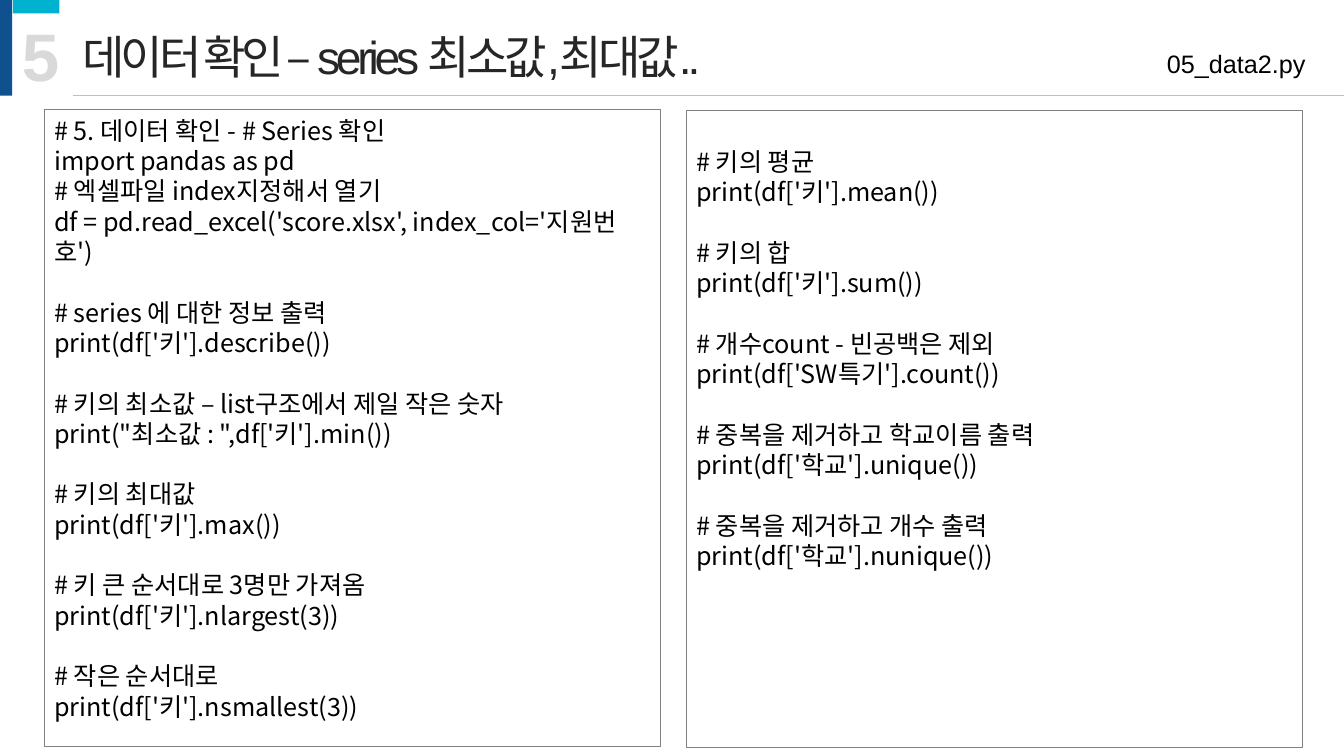
from dataclasses import dataclass

from lxml import etree
from pptx import Presentation
from pptx import util as u
from pptx.dml.color import RGBColor
from pptx.enum import shapes, text
from pptx.oxml import ns

COLORS = {
    "navy": "0F518E", "cyan": "01B1D0", "title": "262626", "number": "D9D9D9",
    "rule": "BFBFBF", "border": "808080", "code": "000000",
}
LATIN, KOREAN = "Arial", "Noto Sans CJK KR"
CODE_PITCH = 21.65
INSET = 3.6


@dataclass(frozen=True)
class Bar:
    x: float
    y: float
    w: float
    h: float
    color: str


@dataclass(frozen=True)
class Panel:
    x: float
    y: float
    top_gap: float
    groups: tuple[tuple[str, ...], ...]


BARS = (
    Bar(0, 0, 8.64, 68.4, "navy"),
    Bar(9.2, 0, 33.2, 9.5, "cyan"),
)

PANELS = (
    Panel(31.7, 78.5, 0, (
        ("# 5. 데이터 확인 - # Series 확인",
         "import pandas as pd",
         "# 엑셀파일 index지정해서 열기",
         "df = pd.read_excel('score.xlsx', index_col='지원번호')"),
        ("# series 에 대한 정보 출력", "print(df['키'].describe())"),
        ("# 키의 최소값 – list구조에서 제일 작은 숫자",
         "print(\"최소값 : \",df['키'].min())"),
        ("# 키의 최대값", "print(df['키'].max())"),
        ("# 키 큰 순서대로 3명만 가져옴", "print(df['키'].nlargest(3))"),
        ("# 작은 순서대로", "print(df['키'].nsmallest(3))"),
    )),
    Panel(490.3, 79.2, CODE_PITCH, (
        ("# 키의 평균", "print(df['키'].mean())"),
        ("# 키의 합", "print(df['키'].sum())"),
        ("# 개수count - 빈공백은 제외", "print(df['SW특기'].count())"),
        ("# 중복을 제거하고 학교이름 출력", "print(df['학교'].unique())"),
        ("# 중복을 제거하고 개수 출력", "print(df['학교'].nunique())"),
    )),
)


def rgb(name: str) -> RGBColor:
    return RGBColor.from_string(COLORS[name])


def write(p, content: str, *, size: float, color: str, font: str = LATIN,
          bold: bool = False, spacing: float = 0, align=text.PP_ALIGN.LEFT) -> None:
    p.alignment = align
    r = p.add_run()
    r.text = content
    r.font.size = u.Pt(size)
    r.font.bold = bold
    r.font.name = font
    r.font.color.rgb = rgb(color)
    rPr = r._r.get_or_add_rPr()
    etree.SubElement(rPr, ns.qn("a:ea")).set("typeface", KOREAN)
    if spacing:
        rPr.set("spc", str(round(spacing * 100)))


def add_label(s, content: str, x: float, y: float, w: float, h: float,
              wrap: bool = True, **fmt) -> None:
    tf = s.shapes.add_textbox(u.Pt(x), u.Pt(y), u.Pt(w), u.Pt(h)).text_frame
    tf.word_wrap = wrap
    tf.vertical_anchor = text.MSO_ANCHOR.MIDDLE
    write(tf.paragraphs[0], content, **fmt)


def add_rect(s, x: float, y: float, w: float, h: float):
    sp = s.shapes.add_shape(shapes.MSO_SHAPE.RECTANGLE, u.Pt(x), u.Pt(y), u.Pt(w), u.Pt(h))
    sp.shadow.inherit = False
    return sp


def add_bar(s, bar: Bar) -> None:
    sp = add_rect(s, bar.x, bar.y, bar.w, bar.h)
    sp.fill.solid()
    sp.fill.fore_color.rgb = rgb(bar.color)
    sp.line.fill.background()


def add_panel(s, panel: Panel) -> None:
    sp = add_rect(s, panel.x, panel.y, 440, 455)
    sp.fill.background()
    sp.line.color.rgb = rgb("border")
    sp.line.width = u.Pt(0.75)
    tf = sp.text_frame
    tf.word_wrap = True
    tf.vertical_anchor = text.MSO_ANCHOR.TOP
    tf.margin_top = u.Pt(INSET + panel.top_gap)
    lines = [(g, i, line) for g, group in enumerate(panel.groups)
             for i, line in enumerate(group)]
    for n, (g, i, line) in enumerate(lines):
        p = tf.add_paragraph() if n else tf.paragraphs[0]
        p.line_spacing = u.Pt(CODE_PITCH)
        p.space_before = u.Pt(CODE_PITCH if g and not i else 0)
        write(p, line, size=18, color="code", font=KOREAN)


def add_rule(s, x1: float, x2: float, y: float) -> None:
    ln = s.shapes.add_connector(shapes.MSO_CONNECTOR.STRAIGHT,
                                u.Pt(x1), u.Pt(y), u.Pt(x2), u.Pt(y))
    ln.line.color.rgb = rgb("rule")
    ln.line.width = u.Pt(0.5)
    etree.SubElement(ln._element.spPr, ns.qn("a:effectLst"))


def main() -> None:
    prs = Presentation()
    prs.slide_width, prs.slide_height = u.Pt(960), u.Pt(540)
    s = prs.slides.add_slide(prs.slide_layouts[6])
    for bar in BARS:
        add_bar(s, bar)
    add_label(s, "데이터 확인 – series 최소값,최대값..", 51.8, 15.8, 876, 48.2,
              size=33, color="title", spacing=-3)
    add_label(s, "5", 8.6, 6.5, 41.8, 65.5, wrap=False,
              size=48, color="number", bold=True)
    add_rule(s, 51.8, 960, 68.4)
    add_label(s, "05_data2.py", 643, 31, 296.6, 28.8,
              size=18, color="code", align=text.PP_ALIGN.RIGHT)
    for panel in PANELS:
        add_panel(s, panel)
    prs.save("out.pptx")


if __name__ == "__main__":
    main()
